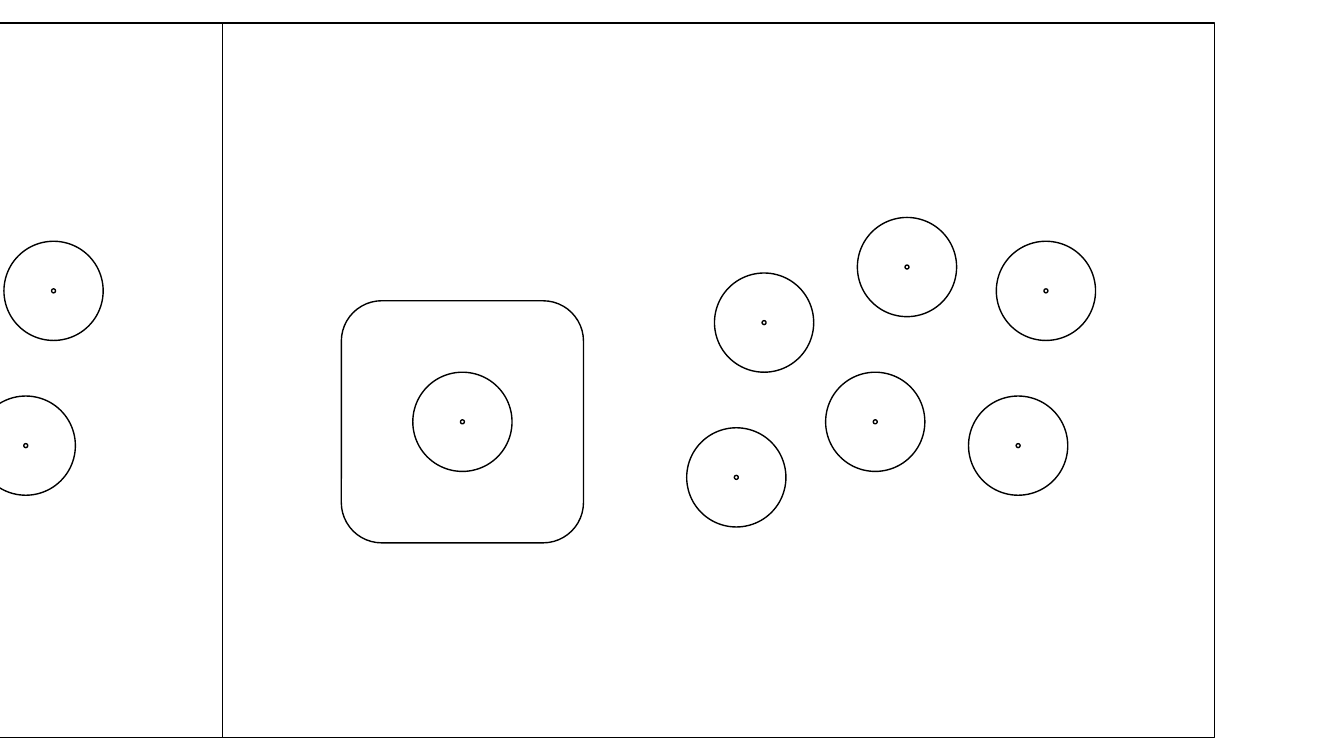
from dataclasses import dataclass

from pptx import Presentation
from pptx.dml.color import RGBColor as Rgb
from pptx.enum.shapes import MSO_SHAPE as Kind
from pptx.util import Cm, Inches, Pt


@dataclass(frozen=True)
class Theme:
    ink: Rgb = Rgb(0, 0, 0)
    paper: Rgb = Rgb(255, 255, 255)
    line: float = 1


THEME = Theme()

# Layout in centimetres; token centres are measured from a card's corner
LEFT, TOP = 5.6, 0.58
CARD_W, CARD_H = 25, 18
TOKEN, DOT, FRAME = 2.5, 0.1, 6.1
HOME = (6.05, 10.05)
EDGE = [(20.05, 10.65), (20.75, 6.75)]
FIELD = [(16.45, 10.05), (12.95, 11.45), (17.25, 6.15), (13.65, 7.55)]


def draw(shapes, kind, x, y, w, h, fill=None):
    """Add an outlined shape, with or without a fill."""
    shape = shapes.add_shape(kind, Cm(x), Cm(y), Cm(w), Cm(h))
    shape.shadow.inherit = False
    if fill is None:
        shape.fill.background()
    else:
        shape.fill.solid()
        shape.fill.fore_color.rgb = fill
    shape.line.color.rgb = THEME.ink
    shape.line.width = Pt(THEME.line)
    return shape


def center(shapes, kind, spot, left, size, fill=None):
    """Add a square-sized shape centred on a spot of the card."""
    x, y = spot
    return draw(shapes, kind, left + x - size / 2, TOP + y - size / 2,
                size, size, fill)


def card(slide, left, spots, home=None):
    """Add a card with its tokens and, if given, the framed home token."""
    draw(slide.shapes, Kind.RECTANGLE, left, TOP, CARD_W, CARD_H)
    group = slide.shapes.add_group_shape().shapes
    spots = [home, *spots] if home else spots
    for size in (TOKEN, DOT):
        for spot in spots:
            center(group, Kind.OVAL, spot, left, size, THEME.paper)
    if home:
        center(group, Kind.ROUNDED_RECTANGLE, home, left, FRAME)


def main():
    deck = Presentation()
    deck.slide_width, deck.slide_height = Inches(13.33), Inches(7.5)
    slide = deck.slides.add_slide(deck.slide_layouts[6])

    # Left card, of which only the right edge shows
    card(slide, LEFT - CARD_W, EDGE)
    # Main card
    card(slide, LEFT, FIELD + EDGE, HOME)

    deck.save("out.pptx")


main()
